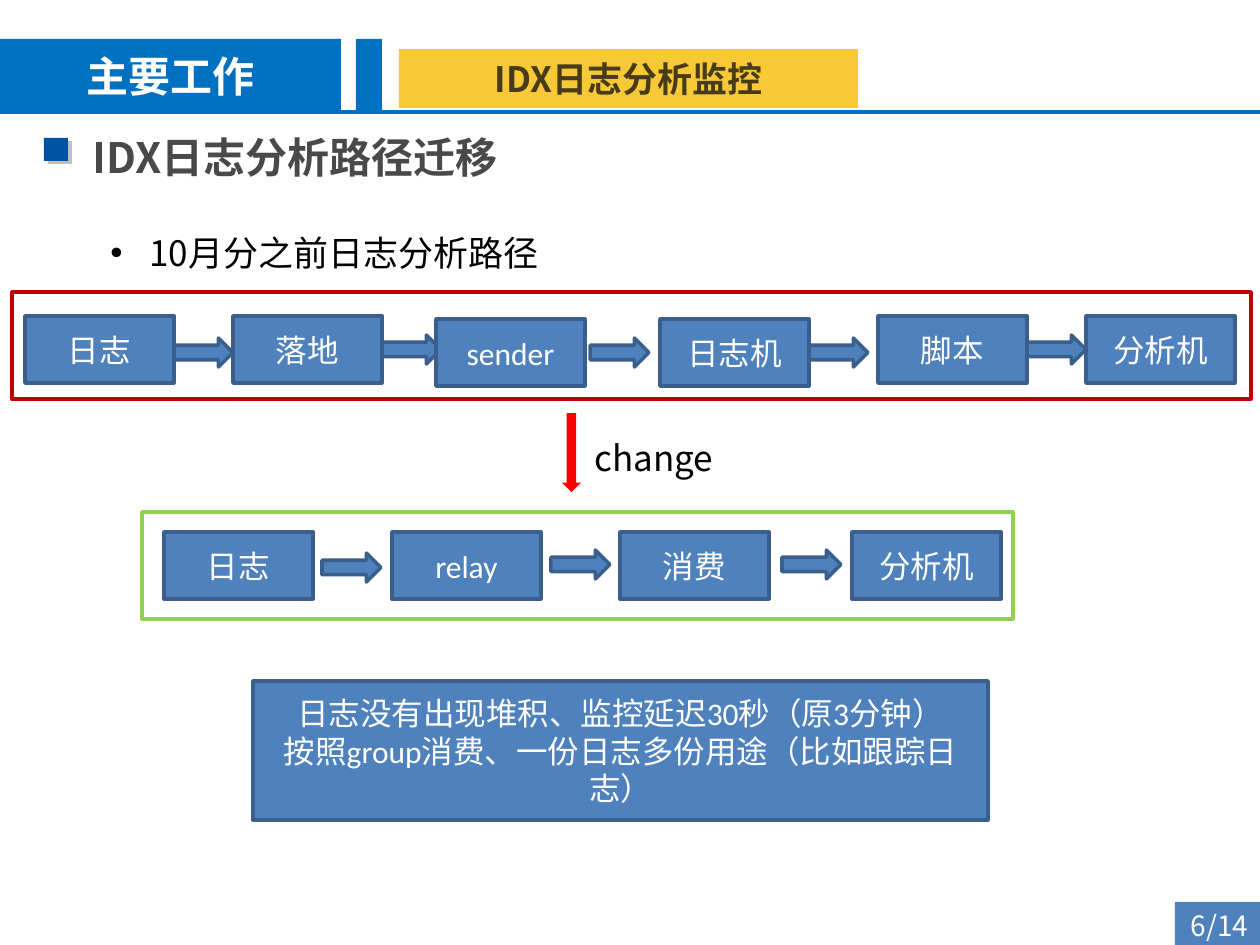
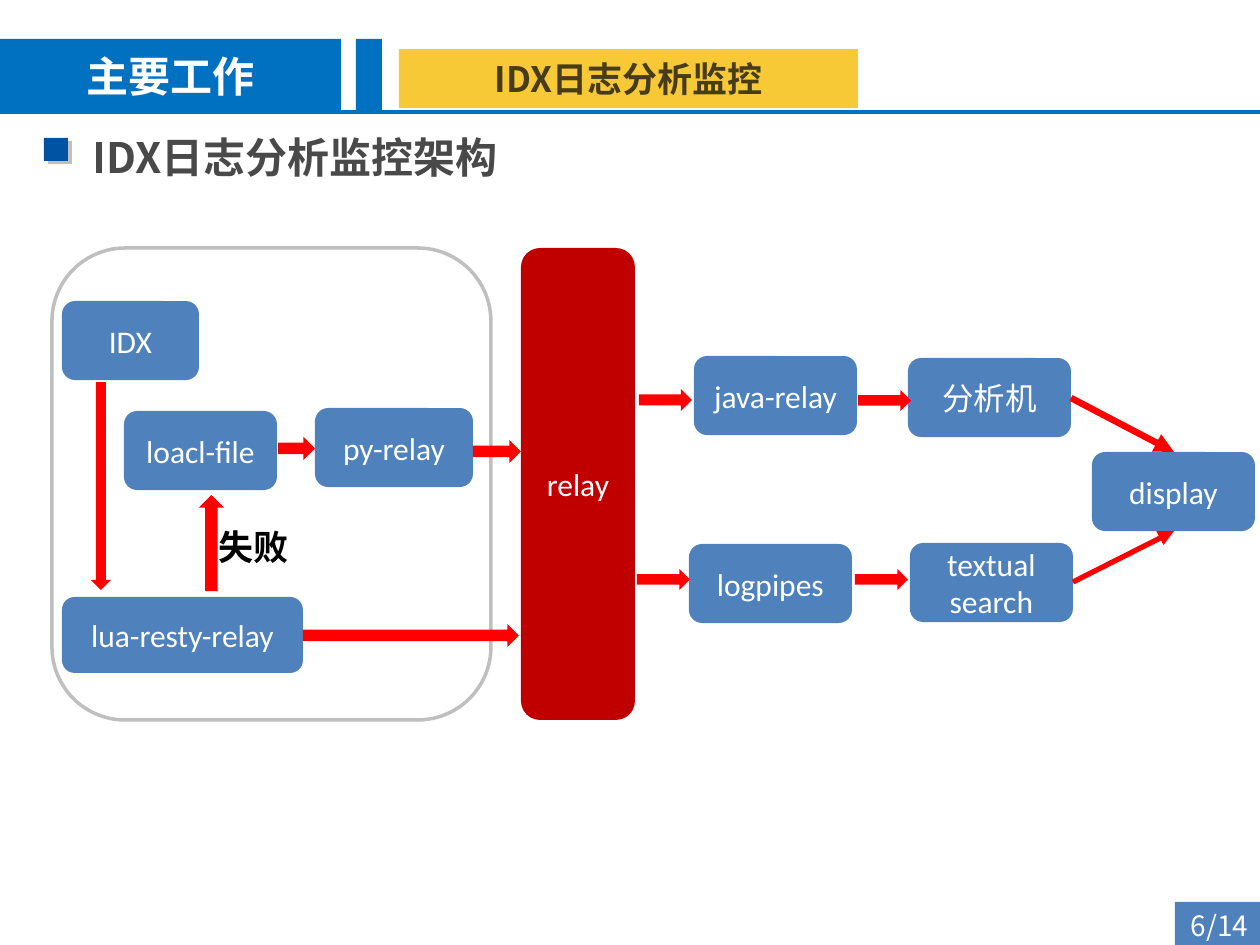
from lxml.etree import SubElement
from pptx import Presentation
from pptx.dml.color import RGBColor
from pptx.enum.shapes import MSO_CONNECTOR as CONNECTOR, MSO_SHAPE as SHAPE
from pptx.enum.text import MSO_ANCHOR as ANCHOR, PP_ALIGN as ALIGN
from pptx.oxml.ns import qn
from pptx.util import Emu, Pt

BAND_BLUE = RGBColor(0x00, 0x70, 0xC0)
BOX_BLUE = RGBColor(0x4F, 0x81, 0xBD)
EDGE_BLUE = RGBColor(0x3A, 0x5F, 0x8C)
BULLET_BLUE = RGBColor(0x00, 0x53, 0xA3)
YELLOW = RGBColor(0xF8, 0xC9, 0x37)
RED = RGBColor(0xFF, 0x00, 0x00)
DARK_RED = RGBColor(0xC0, 0x00, 0x00)
GREEN = RGBColor(0x92, 0xD0, 0x50)
GREY = RGBColor(0xBF, 0xBF, 0xBF)
INK = RGBColor(0x0D, 0x0D, 0x0D)
BLACK = RGBColor(0x00, 0x00, 0x00)
WHITE = RGBColor(0xFF, 0xFF, 0xFF)
SANS = "Noto Sans CJK SC"
PIXEL = 914400 / 126


def add_block(slide, kind, area, fill=None, edge=None):
    area = [Emu(round(length * PIXEL)) for length in area]
    if kind is None:
        return slide.shapes.add_textbox(*area)
    block = slide.shapes.add_shape(kind, *area)
    block.shadow.inherit = False
    if fill is None:
        block.fill.background()
    else:
        block.fill.solid()
        block.fill.fore_color.rgb = fill
    if edge is None:
        block.line.fill.background()
    else:
        block.line.color.rgb = edge
        block.line.width = Pt(2)
    return block


def write(block, text, size=18, font="Calibri", color=WHITE, bold=False,
          align=ALIGN.CENTER, spacing=None):
    frame = block.text_frame
    frame.word_wrap = True
    for index, line in enumerate(text.split("\n")):
        paragraph = frame.add_paragraph() if index else frame.paragraphs[0]
        paragraph.text = line
        paragraph.alignment = align
        paragraph.line_spacing = spacing
        paragraph.font.size = Pt(size)
        paragraph.font.name = font
        paragraph.font.bold = bold
        paragraph.font.color.rgb = color
    for defaults in frame._txBody.iter(qn("a:defRPr")):
        SubElement(defaults, qn("a:ea"), typeface=SANS)
    return frame


deck = Presentation()
deck.slide_width = Emu(round(1260 * PIXEL))
deck.slide_height = Emu(round(945 * PIXEL))
migration = deck.slides.add_slide(deck.slide_layouts[6])
architecture = deck.slides.add_slide(deck.slide_layouts[6])
connectors = []

for slide, heading in [(migration, "IDX日志分析路径迁移"), (architecture, "IDX日志分析监控架构")]:
    section = add_block(slide, SHAPE.RECTANGLE, (0, 39, 341, 73), BAND_BLUE)
    write(section, "主要工作", 24, "Arial", bold=True)
    add_block(slide, SHAPE.RECTANGLE, (356, 39, 26, 73), BAND_BLUE)
    connectors.append((slide, (0, 112, 1260, 112), BAND_BLUE, 2, False))

    add_block(slide, SHAPE.RECTANGLE, (1175, 902, 88, 47), BOX_BLUE)
    write(add_block(slide, None, (1154, 902, 131, 47)), "6/14", 16, SANS)

    title = add_block(slide, None, (80, 125, 461, 63))
    title_frame = write(title, heading, 24, SANS, INK, True, ALIGN.LEFT)
    bullet_shade = add_block(slide, SHAPE.RECTANGLE, (48, 141, 24, 23), BLACK)
    add_block(slide, SHAPE.RECTANGLE, (44, 138, 24, 23), BULLET_BLUE)
    topic = add_block(slide, SHAPE.RECTANGLE, (399, 49, 459, 59), YELLOW)
    topic_frame = write(topic, "IDX日志分析监控", 20, SANS, INK, True)

    for element, percent in [(title_frame._txBody, 75), (topic_frame._txBody, 75),
                             (bullet_shade._element.spPr, 25)]:
        for color in element.iter(qn("a:srgbClr")):
            SubElement(color, qn("a:alpha"), val=str(percent * 1000))

add_block(migration, SHAPE.RECTANGLE, (142, 512, 871, 107), edge=GREEN)
add_block(migration, SHAPE.RECTANGLE, (12, 292, 1239, 107), edge=DARK_RED)

period = write(add_block(migration, None, (98, 204, 983, 77)), "10月分之前日志分析路径",
               20, SANS, BLACK, align=ALIGN.JUSTIFY, spacing=1.5)
period_format = period.paragraphs[0]._p.get_or_add_pPr()
period_format.set("marL", str(round(39 * PIXEL)))
period_format.set("indent", str(round(-39 * PIXEL)))
for tag, settings in [("a:buFont", {"typeface": "Arial"}), ("a:buChar", {"char": "•"})]:
    bullet = period_format.makeelement(qn(tag), settings)
    period_format.find(qn("a:defRPr")).addprevious(bullet)

flow_arrows = [(174, 338), (382, 335), (590, 338), (809, 338), (1027, 335),
               (322, 553), (551, 550), (782, 550)]
for left, top in flow_arrows:
    add_block(migration, SHAPE.RIGHT_ARROW, (left, top, 59, 29), BOX_BLUE, EDGE_BLUE)

flow_steps = [
    (25, 316, "日志"), (233, 316, "落地"), (436, 319, "sender"),
    (660, 319, "日志机"), (878, 316, "脚本"), (1086, 316, "分析机"),
    (164, 532, "日志"), (392, 532, "relay"), (620, 532, "消费"), (852, 532, "分析机"),
]
for left, top, step in flow_steps:
    block = add_block(migration, SHAPE.RECTANGLE, (left, top, 149, 67), BOX_BLUE, EDGE_BLUE)
    write(block, step)

add_block(migration, SHAPE.DOWN_ARROW, (562, 413, 19, 79), RED)
write(add_block(migration, None, (582, 409, 160, 77)), "change", 20, SANS, BLACK,
      align=ALIGN.JUSTIFY, spacing=1.5)
result = add_block(migration, SHAPE.RECTANGLE, (253, 681, 735, 139), BOX_BLUE, EDGE_BLUE)
write(result, "日志没有出现堆积、监控延迟30秒（原3分钟）\n按照group消费、一份日志多份用途（比如跟踪日志）")

add_block(architecture, SHAPE.ROUNDED_RECTANGLE, (52, 248, 439, 472), edge=GREY)
components = [
    ((521, 248, 114, 472), "relay", DARK_RED),
    ((62, 301, 137, 79), "IDX", BOX_BLUE),
    ((62, 597, 241, 76), "lua-resty-relay", BOX_BLUE),
    ((124, 411, 153, 79), "loacl-file", BOX_BLUE),
    ((315, 408, 158, 79), "py-relay", BOX_BLUE),
    ((694, 356, 163, 79), "java-relay", BOX_BLUE),
    ((908, 358, 163, 79), "分析机", BOX_BLUE),
    ((689, 544, 163, 79), "logpipes", BOX_BLUE),
    ((910, 543, 163, 79), "textual\nsearch", BOX_BLUE),
    ((1092, 452, 163, 79), "display", BOX_BLUE),
]
for area, label, fill in components:
    write(add_block(architecture, SHAPE.ROUNDED_RECTANGLE, area, fill), label)

add_block(architecture, SHAPE.DOWN_ARROW, (91, 382, 20, 208), RED)
add_block(architecture, SHAPE.UP_ARROW, (199, 495, 25, 96), RED)
data_arrows = [
    (278, 437, 37, 23), (473, 440, 48, 23), (303, 624, 216, 23), (639, 389, 53, 22),
    (858, 390, 53, 21), (637, 569, 53, 21), (855, 569, 53, 21),
]
for area in data_arrows:
    add_block(architecture, SHAPE.RIGHT_ARROW, area, RED)

failure = add_block(architecture, None, (171, 517, 166, 60))
write(failure, "失败", 20, color=BLACK, bold=True).vertical_anchor = ANCHOR.MIDDLE

connectors.append((architecture, (1071, 398, 1174, 452), RED, 3.75, True))
connectors.append((architecture, (1073, 582, 1174, 531), RED, 3, True))
for slide, ends, color, width, pointed in connectors:
    link = slide.shapes.add_connector(
        CONNECTOR.STRAIGHT, *[Emu(round(length * PIXEL)) for length in ends])
    link.line.color.rgb = color
    link.line.width = Pt(width)
    if pointed:
        SubElement(link.line._get_or_add_ln(), qn("a:tailEnd"), type="triangle")
    SubElement(link._element.spPr, qn("a:effectLst"))

deck.save("out.pptx")
